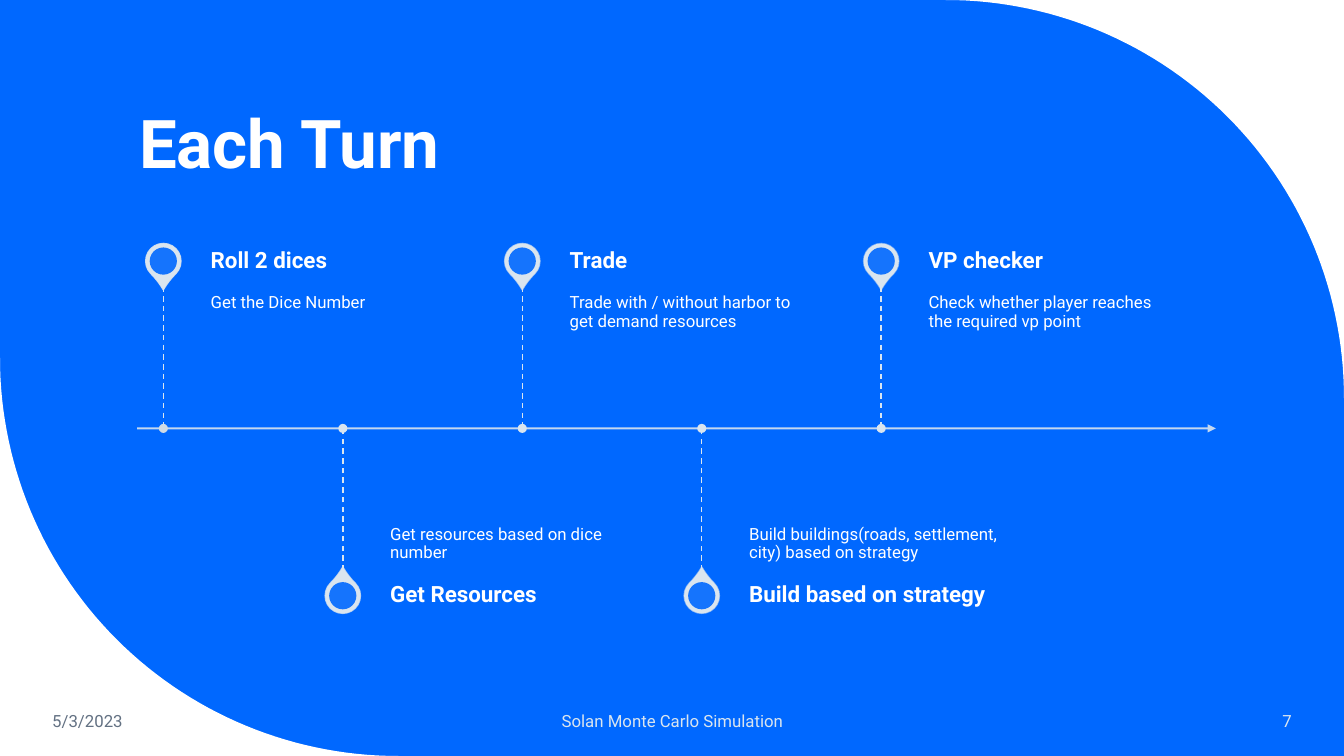
"""Build the turn timeline slide."""
import math

from lxml import etree
from pptx import Presentation
from pptx.dml.color import RGBColor
from pptx.enum import dml, shapes, text
from pptx.oxml import ns
from pptx.util import Inches, Pt

BLUE = RGBColor(0x00, 0x68, 0xFF)
WHITE = RGBColor(0xFF, 0xFF, 0xFF)
PALE = RGBColor(0xDA, 0xE5, 0xEF)
DIM = RGBColor(0xD0, 0xDB, 0xE4)
GREY = RGBColor(0x63, 0x71, 0x83)
FONT = "Roboto"
W, H = 13.33, 7.5
STEPS = [
    ("Roll 2 dices", "Get the Dice Number"),
    ("Get Resources", "Get resources based on dice number"),
    ("Trade", "Trade with / without harbor to get demand resources"),
    ("Build based on strategy",
     "Build buildings(roads, settlement, city) based on strategy"),
    ("VP checker", "Check whether player reaches the required vp point"),
]


def set_alpha(fill, percent):
    """Make a solid fill partly transparent."""
    color = next(fill.fore_color._xFill.iter(ns.qn("a:srgbClr")))
    etree.SubElement(color, ns.qn("a:alpha"), val=str(percent * 1000))


def write(tf, words, size=12, color=WHITE, bold=False, align=text.PP_ALIGN.LEFT,
          anchor=text.MSO_ANCHOR.MIDDLE, insets=(0.1, 0.05, 0.1, 0.05), spacing=0.9):
    """Fill a text frame with one formatted paragraph."""
    tf.word_wrap = True
    tf.auto_size = text.MSO_AUTO_SIZE.NONE
    tf.vertical_anchor = anchor
    tf.margin_left, tf.margin_top, tf.margin_right, tf.margin_bottom = map(Inches, insets)
    p = tf.paragraphs[0]
    p.alignment, p.line_spacing = align, spacing
    r = p.add_run()
    r.text = words
    r.font.name, r.font.size, r.font.bold = FONT, Pt(size), bold
    r.font.color.rgb = color


def add_label(slide, box, words, **fmt):
    """Add a text box."""
    sp = slide.shapes.add_textbox(*map(Inches, box))
    write(sp.text_frame, words, **fmt)


def add_round(slide, kind, x, y, size, color):
    """Add a borderless shape centred on a point."""
    sp = slide.shapes.add_shape(kind, Inches(x - size / 2), Inches(y - size / 2),
                                Inches(size), Inches(size))
    sp.shadow.inherit = False
    sp.fill.solid()
    sp.fill.fore_color.rgb = color
    sp.line.fill.background()
    return sp


def add_line(slide, x1, y1, x2, y2, width):
    """Add a pale line without a shadow."""
    line = slide.shapes.add_connector(shapes.MSO_CONNECTOR.STRAIGHT,
                                      *map(Inches, (x1, y1, x2, y2)))
    line.line.fill.solid()
    line.line.fill.fore_color.rgb = PALE
    line.line.width = Pt(width)
    etree.SubElement(line._element.spPr, ns.qn("a:effectLst"))
    return line


def add_corner(slide, corner, center, start, radius=3.95):
    """Cover a slide corner outside a quarter circle."""
    angles = [math.radians(start + 90 * i / 60) for i in range(61)]
    arc = [(Inches(center[0] + radius * math.cos(a)),
            Inches(center[1] + radius * math.sin(a))) for a in angles]
    outline = slide.shapes.build_freeform(Inches(corner[0]), Inches(corner[1]))
    outline.add_line_segments(arc, close=True)
    sp = outline.convert_to_shape()
    sp.shadow.inherit = False
    sp.fill.solid()
    sp.fill.fore_color.rgb = WHITE
    sp.line.fill.background()


def add_title(slide, box, words):
    """Place the title in its placeholder."""
    sp = slide.shapes.title
    sp.left, sp.top, sp.width, sp.height = map(Inches, box)
    write(sp.text_frame, words, size=48, bold=True, anchor=text.MSO_ANCHOR.BOTTOM)


def add_step(slide, x, axis, above, heading, detail, dot, edge):
    """Add one pin with its stem, dot and texts above or below the axis."""
    stem, head, width = 1.41, 0.5, 2.53
    side = -1 if above else 1
    tip = axis + side * stem
    y = tip + side * head / 2
    pin = add_round(slide, shapes.MSO_SHAPE.TEAR, x, y, 0.35, PALE)
    pin.adjustments[0] = 1.15
    pin.rotation = 135 if above else 315
    pin.line.color.rgb = PALE
    pin.line.width = Pt(1)
    set_alpha(pin.line.fill, edge)
    hole = add_round(slide, shapes.MSO_SHAPE.OVAL, x, y, 0.27, BLUE)
    set_alpha(hole.fill, 90)
    add_label(slide, (x + 0.47, min(axis, tip), width, stem), detail,
              anchor=text.MSO_ANCHOR.TOP if above else text.MSO_ANCHOR.BOTTOM,
              insets=(0, 0.08, 0.08, 0.12) if above else (0, 0.12, 0, 0.08))
    add_label(slide, (x + 0.47, y - head / 2, width, head), heading, size=16,
              bold=True, insets=(0, 0, 0.11, 0))
    add_line(slide, x, tip, x, axis, 1).line.dash_style = dml.MSO_LINE.DASH
    add_round(slide, shapes.MSO_SHAPE.OVAL, x, axis, 0.09, dot)


def add_timeline(slide, left, axis, width, steps):
    """Add the arrow with steps alternating above and below it."""
    arrow = add_line(slide, left, axis, left + width, axis, 1.5)
    set_alpha(arrow.line.fill, 90)
    etree.SubElement(arrow.line._get_or_add_ln(), ns.qn("a:tailEnd"), type="triangle")
    for i, (heading, detail) in enumerate(steps):
        add_step(slide, left + 0.26 + 1.78 * i, axis, i % 2 == 0, heading, detail,
                 dot=PALE if i else DIM, edge=90 - 10 * i)


def add_footer(slide, top, height=0.4):
    """Add the date, the topic and the slide number."""
    for left, width, words, color, align in (
            (0.42, 1.86, "5/3/2023", GREY, text.PP_ALIGN.LEFT),
            (4.42, 4.5, "Solan Monte Carlo Simulation", PALE, text.PP_ALIGN.CENTER),
            (11.1, 1.81, "7", PALE, text.PP_ALIGN.RIGHT)):
        add_label(slide, (left, top, width, height), words, color=color,
                  align=align, spacing=1.0)


def main():
    """Build and save the slide."""
    prs = Presentation()
    prs.slide_width, prs.slide_height = Inches(W), Inches(H)
    slide = prs.slides.add_slide(prs.slide_layouts[5])
    slide.background.fill.solid()
    slide.background.fill.fore_color.rgb = BLUE
    add_corner(slide, (W, 0), (W - 3.95, 3.95), 270)
    add_corner(slide, (0, H), (3.95, H - 3.95), 90)
    add_title(slide, (1.28, 0.42, 10.69, 1.45), "Each Turn")
    add_timeline(slide, 1.36, 4.25, 10.7, STEPS)
    add_footer(slide, 6.95)
    prs.save("out.pptx")


if __name__ == "__main__":
    main()
